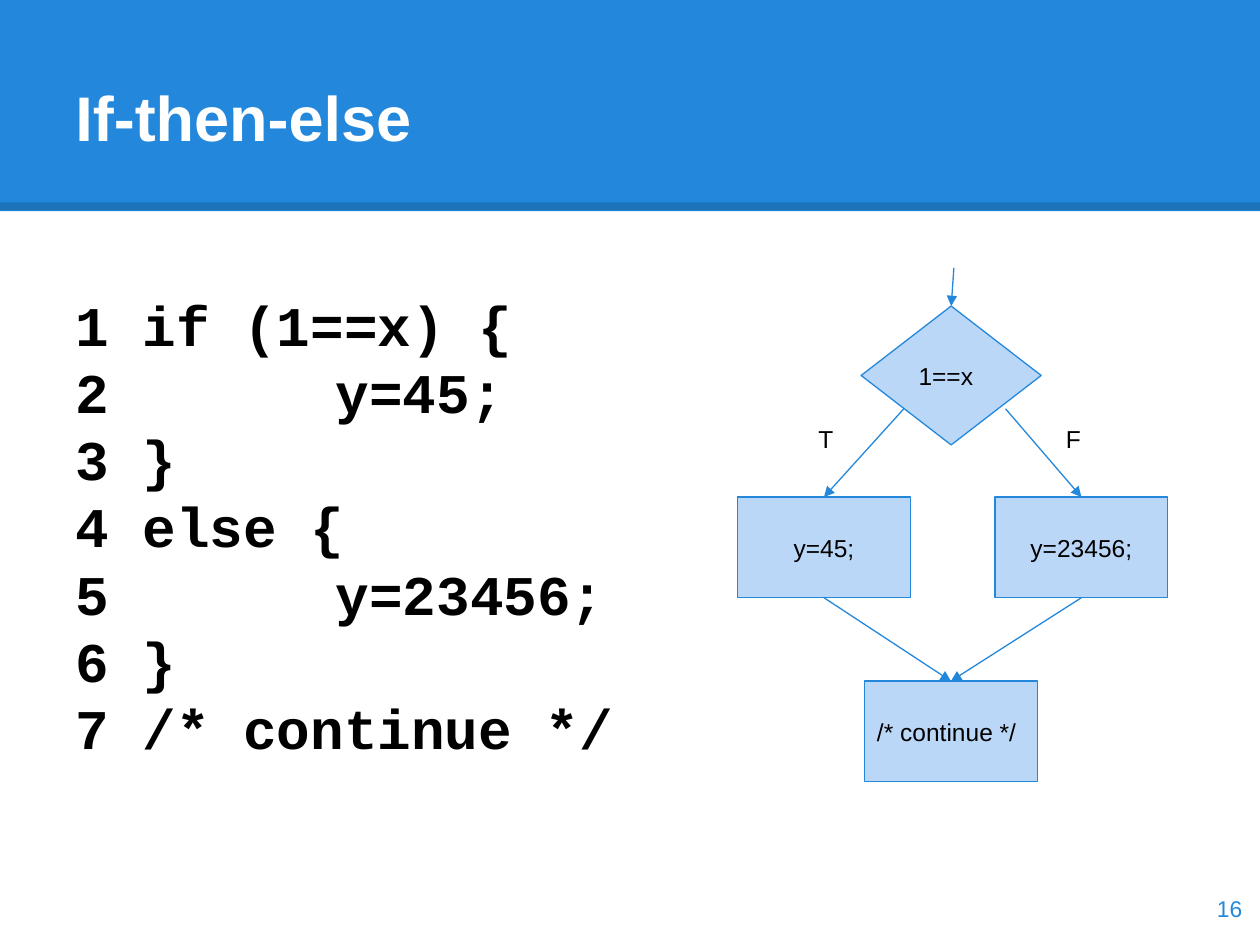
from lxml.etree import SubElement
from pptx import Presentation
from pptx.dml.color import RGBColor
from pptx.enum.shapes import MSO_CONNECTOR, MSO_SHAPE
from pptx.enum.text import MSO_ANCHOR as Anchor, PP_ALIGN as Align
from pptx.oxml.ns import qn
from pptx.util import Cm, Pt

BLUE, PALE, BLACK, WHITE = "2388DB", "BBD7F8", "000000", "FFFFFF"
CODE = """1 if (1==x) {
2\t    y=45;
3 }
4 else {
5\t    y=23456;
6 }
7 /* continue */"""


def rgb(hex_string):
    return RGBColor.from_string(hex_string)


def write(shape, text, size, color=BLACK, font="Arial", bold=False, align=Align.LEFT,
          anchor=Anchor.MIDDLE, insets=(0.25, 0.25, 0.25, 0.25), tab=None):
    """Fill a shape with text; insets (left, top, right, bottom) and tab are in cm."""
    frame = shape.text_frame
    frame.word_wrap = True
    frame.vertical_anchor = anchor
    (frame.margin_left, frame.margin_top,
     frame.margin_right, frame.margin_bottom) = map(Cm, insets)
    frame.text = text
    for paragraph in frame.paragraphs:
        paragraph.alignment = align
        if tab:
            stops = SubElement(paragraph._p.get_or_add_pPr(), qn("a:tabLst"))
            SubElement(stops, qn("a:tab"), pos=str(Cm(tab)), algn="l")
        for run in paragraph.runs:
            run.font.name, run.font.size, run.font.bold = font, Pt(size), bold
            run.font.color.rgb = rgb(color)


def add_label(slide, box, text, size, **style):
    write(slide.shapes.add_textbox(*map(Cm, box)), text, size, **style)


def add_block(slide, kind, box, fill, outline=None):
    block = slide.shapes.add_shape(kind, *map(Cm, box))
    block.shadow.inherit = False
    block.fill.solid()
    block.fill.fore_color.rgb = rgb(fill)
    if outline:
        block.line.color.rgb = rgb(outline)
        block.line.width = Pt(0.75)
    else:
        block.line.fill.background()
    return block


def add_line(slide, start, end, color, width):
    line = slide.shapes.add_connector(MSO_CONNECTOR.STRAIGHT, *map(Cm, start + end))
    line.line.color.rgb = rgb(color)
    line.line.width = Pt(width)
    SubElement(line._element.spPr, qn("a:effectLst"))
    return line


def add_arrow(slide, start, end):
    arrow = add_line(slide, start, end, BLUE, 0.75)
    SubElement(arrow.line._get_or_add_ln(), qn("a:tailEnd"), type="triangle")
    return arrow


def add_header(slide, left, top, width, height):
    add_block(slide, MSO_SHAPE.RECTANGLE, (left, top, width, height), BLUE)
    edge = top + height - 0.1
    rule = add_line(slide, (left, edge), (left + width, edge), BLACK, 4.5)
    color = rule.line._get_or_add_ln().find(".//" + qn("a:srgbClr"))
    SubElement(color, qn("a:alpha"), val="15000")
    add_label(slide, (left + 1.27, top + 0.76, 22.28, 3.18), "If-then-else", 36,
              color=WHITE, bold=True, insets=(0.25, 0.13, 0.13, 0.13))


def add_flowchart(slide, left, top, width, height):
    node_w, node_h = 3.48, 2.03
    branch_top, join_top = top + 4.62, top + height - node_h
    right = left + width - node_w

    def add_node(x, y, text, align=Align.CENTER):
        node = add_block(slide, MSO_SHAPE.RECTANGLE, (x, y, node_w, node_h), PALE, BLUE)
        write(node, text, 14, align=align)
        return node

    join = add_node(left + 2.56, join_top, "/* continue */", Align.LEFT)
    test = add_block(slide, MSO_SHAPE.DIAMOND, (left + 2.49, top + 0.77, 3.63, 2.8),
                     PALE, BLUE)
    write(test, "1==x", 14)
    center = left + 4.3
    add_arrow(slide, (center + 0.06, top), (center, top + 0.77)).end_connect(test, 0)

    branches = [(left, "y=45;", "T", -0.95, 1.38),
                (right, "y=23456;", "F", 1.1, 1.18)]
    for x, action, outcome, exit_shift, label_shift in branches:
        node = add_node(x, branch_top, action)
        middle = x + node_w / 2
        add_arrow(slide, (center + exit_shift, top + 2.84),
                  (middle, branch_top)).end_connect(node, 0)
        merge = add_arrow(slide, (middle, branch_top + node_h), (center, join_top))
        merge.begin_connect(node, 2)
        merge.end_connect(join, 0)
        add_label(slide, (x + label_shift, top + 2.9, 1.12, 0.76), outcome, 14,
                  anchor=Anchor.TOP)


def main():
    deck = Presentation()
    deck.slide_width, deck.slide_height = Cm(25.4), Cm(19.05)
    slide = deck.slides.add_slide(deck.slide_layouts[6])
    add_header(slide, 0, 0, 25.4, 4.26)
    add_label(slide, (1.27, 5.72, 12.45, 9.73), CODE, 32, font="Courier New", bold=True,
              anchor=Anchor.TOP, insets=(0.25, 0.13, 0.25, 0.13), tab=2.54)
    add_flowchart(slide, 14.87, 5.4, 8.67, 10.36)
    add_label(slide, (23.77, 17.59, 1.52, 1.45), "16", 13, color=BLUE, align=Align.RIGHT)
    deck.save("out.pptx")


if __name__ == "__main__":
    main()
